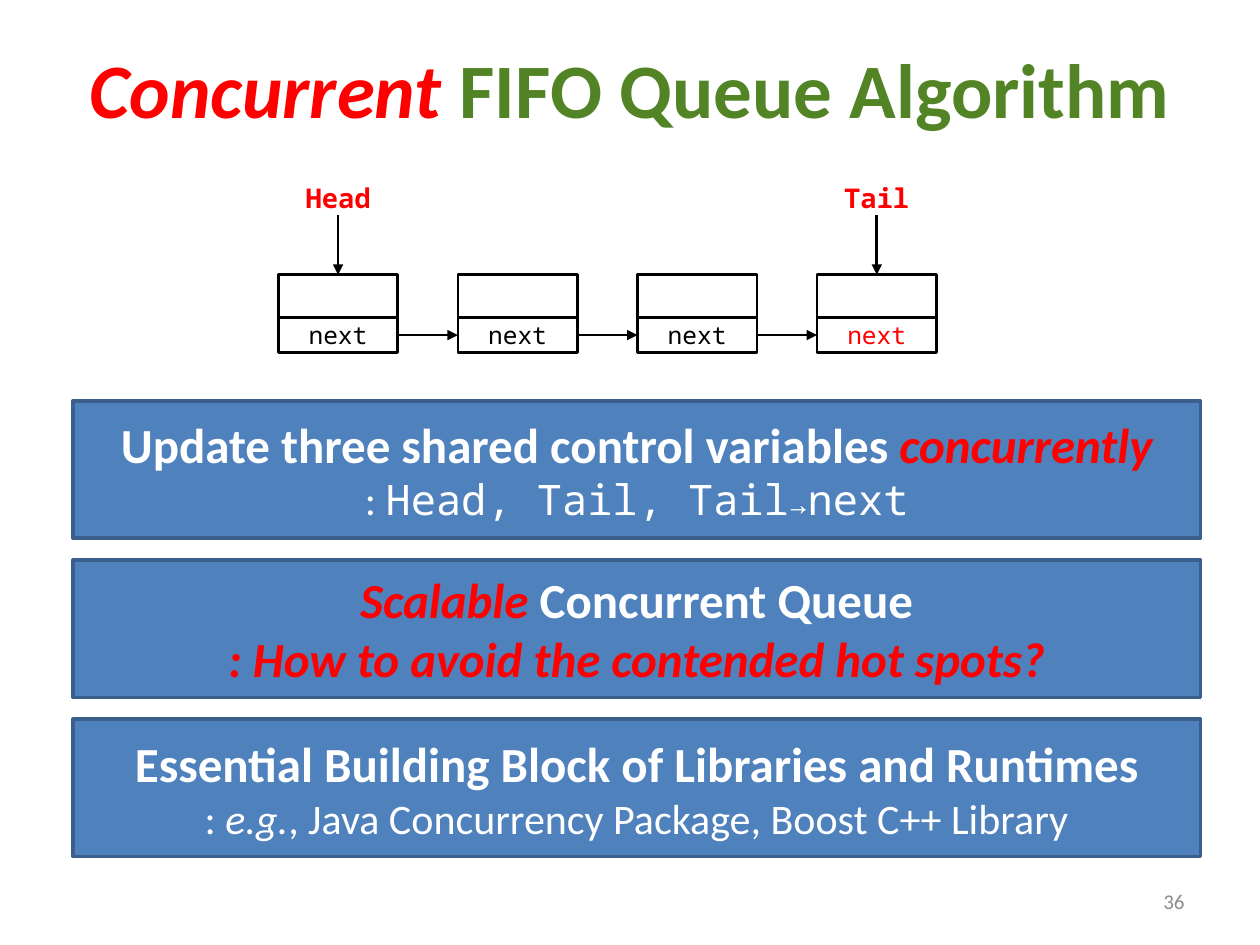
from pptx import Presentation
from pptx import util as u
from pptx.dml import color
from pptx.enum import shapes, text
from pptx.oxml import ns, xmlchemy

BLACK, WHITE, RED = "000000", "FFFFFF", "FF0000"
BODY, MONO = "Calibri", "Noto Sans Mono"
ALIGN, ANCHOR = text.PP_ALIGN, text.MSO_ANCHOR


def hue(code):
    return color.RGBColor.from_string(code)


def box(*dims):
    return [u.Cm(d) for d in dims]


class Deck:
    """Holds the base text style and the slide being drawn."""

    base = {"name": BODY, "size": 28, "bold": False, "italic": False, "color": WHITE}

    def __init__(self, wide, high):
        self.prs = Presentation()
        self.prs.slide_width, self.prs.slide_height = box(wide, high)
        self.slide = self.prs.slides.add_slide(self.prs.slide_layouts[6])

    def fill_text(self, shape, lines, align=ALIGN.CENTER, **frame):
        """Fill a shape with lines, each a list of (words, format) runs."""
        body = shape.text_frame
        frame = {"word_wrap": True, "vertical_anchor": ANCHOR.MIDDLE, **frame}
        for key, val in frame.items():
            setattr(body, key, val)
        for i, line in enumerate(lines):
            para = body.add_paragraph() if i else body.paragraphs[0]
            para.alignment = align
            for words, form in line:
                run = para.add_run()
                run.text = words
                form = {**self.base, **form}
                run.font.color.rgb = hue(form.pop("color"))
                form["size"] = u.Pt(form["size"])
                for key, val in form.items():
                    setattr(run.font, key, val)

    def label(self, dims, lines, **opts):
        area = self.slide.shapes.add_textbox(*box(*dims))
        self.fill_text(area, lines, **opts)
        return area

    def rect(self, dims, fill, edge, width, lines=(), **opts):
        rect = self.slide.shapes.add_shape(shapes.MSO_SHAPE.RECTANGLE, *box(*dims))
        rect.shadow.inherit = False
        rect.fill.solid()
        rect.fill.fore_color.rgb = hue(fill)
        rect.line.color.rgb = hue(edge)
        rect.line.width = u.Pt(width)
        self.fill_text(rect, lines, **opts)
        return rect

    def arrow(self, start, out, end, into):
        """Join side `out` of start to side `into` of end."""
        link = self.slide.shapes.add_connector(shapes.MSO_CONNECTOR.STRAIGHT, 0, 0, 0, 0)
        link.begin_connect(start, out)
        link.end_connect(end, into)
        link.line.color.rgb = hue(BLACK)
        link.line.width = u.Pt(1.5)
        tip = xmlchemy.OxmlElement("a:tailEnd")
        tip.set("type", "triangle")
        props = link._element.spPr
        props.find(ns.qn("a:ln")).append(tip)
        props.append(xmlchemy.OxmlElement("a:effectLst"))

    def node(self, left, top, wide, tint):
        """Draw a queue node; return its data and next cells."""
        none = dict.fromkeys(["margin_left", "margin_right", "margin_top", "margin_bottom"], 0)
        form = {"name": MONO, "size": 14, "color": tint}
        data = self.rect((left, top, wide, 0.86), WHITE, BLACK, 1.5)
        succ = self.rect((left, top + 0.86, wide, 0.71), WHITE, BLACK, 1.5,
                         [[("next", form)]], **none)
        return data, succ


def main():
    deck = Deck(25.4, 19.05)
    bold = {"bold": True}
    hot = {"bold": True, "italic": True, "color": RED}
    small = {"size": 24}
    mono = {"size": 24, "name": MONO}

    deck.label((1.27, 0.18, 22.86, 3.18), [[
        ("Concurrent ", {**hot, "size": 44}),
        ("FIFO Queue Algorithm", {**bold, "size": 44, "color": "528425"}),
    ]])
    deck.label((18.21, 17.65, 5.92, 1.02), [[("36", {"size": 12, "color": "8C8C8C"})]],
               align=ALIGN.RIGHT)

    left, top, wide, step = 5.61, 5.54, 2.41, 3.62
    nodes = [deck.node(left + i * step, top, wide, tint)
             for i, tint in enumerate([BLACK, BLACK, BLACK, RED])]
    for (_, prev), (_, succ) in zip(nodes, nodes[1:]):
        deck.arrow(prev, 3, succ, 1)

    mark = {"name": MONO, "size": 15.5, "bold": True, "color": RED}
    for name, i in (("Head", 0), ("Tail", 3)):
        tag = deck.label((left + i * step, 3.53, wide, 0.81), [[(name, mark)]],
                         word_wrap=False, vertical_anchor=ANCHOR.TOP,
                         margin_bottom=0)
        deck.arrow(tag, 2, nodes[i][0], 0)

    bands = [
        [[("Update three shared control variables ", bold), ("concurrently", hot)],
         [(": ", small), ("Head, Tail, Tail", mono), ("→", {**mono, "size": 18}),
          ("next", mono)]],
        [[("Scalable", hot), (" Concurrent Queue", bold)],
         [(": How to avoid the contended hot spots?", hot)]],
        [[("Essential Building Block of Libraries and Runtimes", bold)],
         [(": ", small), ("e.g.", {**small, "italic": True}),
          (", Java Concurrency Package, Boost C++ Library", small)]],
    ]
    for i, lines in enumerate(bands):
        deck.rect((1.47, 8.08 + i * 3.21, 22.73, 2.77), "4F81BD", "3A5F8C", 2, lines)

    deck.prs.save("out.pptx")


if __name__ == "__main__":
    main()
